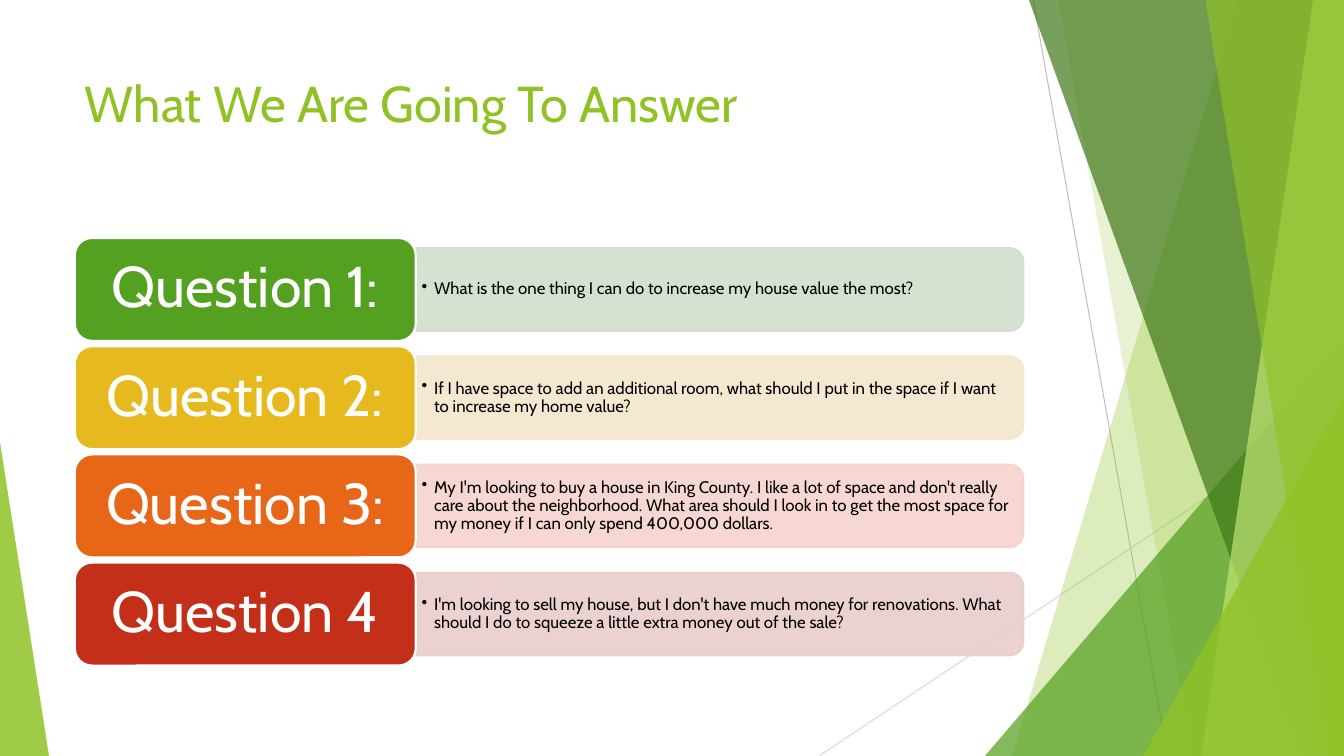
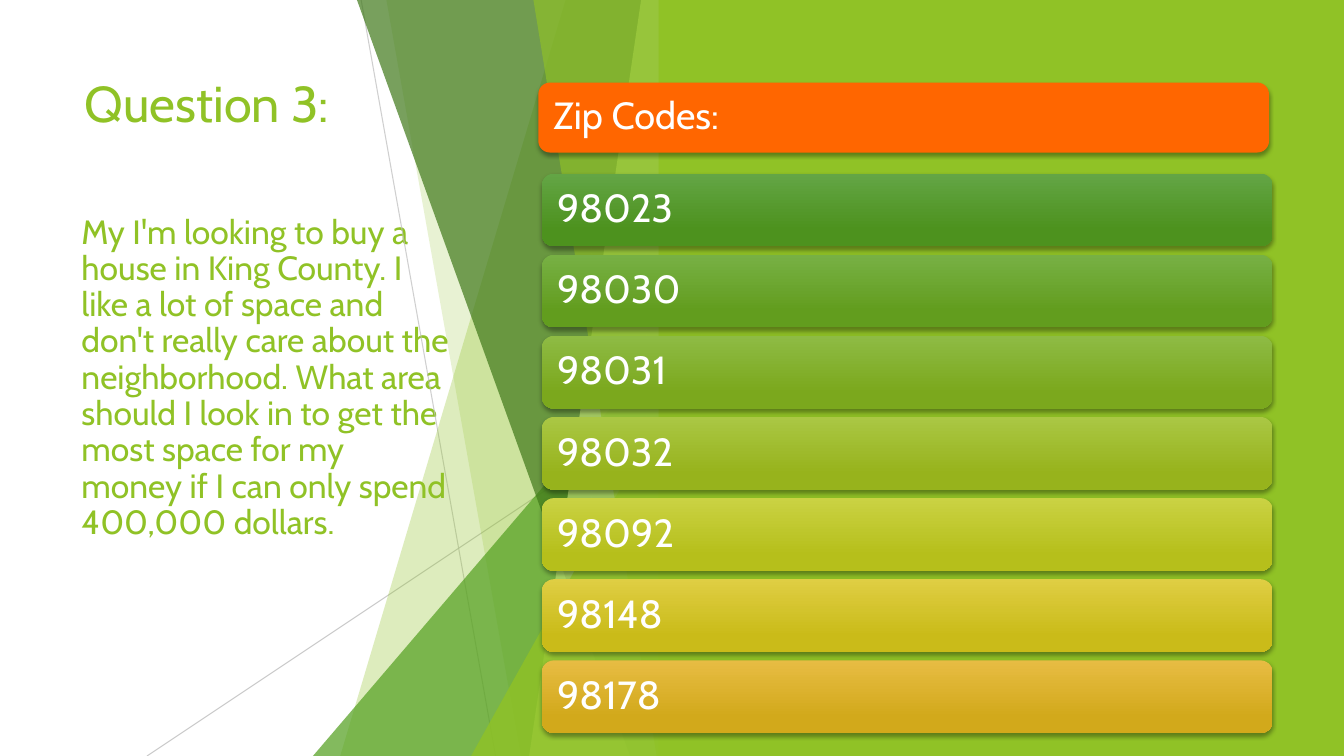
import lxml.etree
import pptx
import pptx.dml.color
import pptx.enum.shapes
import pptx.enum.text
import pptx.oxml.ns
import pptx.util

Pt = pptx.util.Pt
qn = pptx.oxml.ns.qn
KIND = pptx.enum.shapes.MSO_SHAPE
ALIGN = pptx.enum.text.PP_ALIGN
ANCHOR = pptx.enum.text.MSO_ANCHOR

WIDTH, HEIGHT = 960, 540
GREEN, WHITE, BLACK = "90C226", "FFFFFF", "000000"
TITLE_ONLY, TITLE_AND_BODY = 5, 1
FACETS = [
    ("blade", 884, 723, GREEN, 30),
    ("blade", 756, 852, GREEN, 20),
    ("triangle", 703.5, 240, "54A021", 72),
    ("blade", 735, 930, "3F7819", 70),
    ("blade", 938, 858, "C0E474", 70),
    ("blade", 861, 949, GREEN, 65),
    ("triangle", 816.5, 283, GREEN, 80),
]
HOUSE_HUNT = (
    "My I'm looking to buy a house in King County. I like a lot of space and "
    "don't really care about the neighborhood. What area should I look in to "
    "get the most space for my money if I can only spend 400,000 dollars."
)
QUESTIONS = [
    ("Question 1:", "54A021", "D1DFCD",
     "What is the one thing I can do to increase my house value the most?"),
    ("Question 2:", "E6B91E", "F5E6CD",
     "If I have space to add an additional room, what should I put in the "
     "space if I want to increase my home value?"),
    ("Question 3:", "E76618", "F6D3CC", HOUSE_HUNT),
    ("Question 4", "C42F1A", "EACDCD",
     "I'm looking to sell my house, but I don't have much money for "
     "renovations. What should I do to squeeze a little extra money out of "
     "the sale?"),
]
ZIP_CODES = [
    ("98023", "63A545", "4D921E"),
    ("98030", "77B044", "629D1E"),
    ("98031", "8EBB44", "7BA81D"),
    ("98032", "AAC744", "97B31C"),
    ("98092", "CAD243", "B6BF1B"),
    ("98148", "DFCE43", "CABB19"),
    ("98178", "E7BC43", "D2A91B"),
]


def rgb(colour):
    return pptx.dml.color.RGBColor.from_string(colour)


def assign(target, values):
    for name, value in values.items():
        setattr(target, name, value)


def paint(fill, colour, alpha=100):
    fill.solid()
    fill.fore_color.rgb = rgb(colour)
    if alpha < 100:
        clr = fill._xPr.find(".//" + qn("a:srgbClr"))
        lxml.etree.SubElement(clr, qn("a:alpha"), val=str(alpha * 1000))


class Deck:
    font = "Cabin"

    def __init__(self):
        self.prs = pptx.Presentation()
        assign(self.prs, {"slide_width": Pt(WIDTH), "slide_height": Pt(HEIGHT)})
        self.s = None

    def slide(self, layout):
        self.s = self.prs.slides.add_slide(self.prs.slide_layouts[layout])

    def text(self, sp, words, size, colour, align=ALIGN.LEFT, anchor=ANCHOR.MIDDLE,
             spacing=0.9, inset=(7.2, 3.6), bullet=False):
        tf = sp.text_frame
        dx, dy = map(Pt, inset)
        assign(tf, {"word_wrap": True, "auto_size": pptx.enum.text.MSO_AUTO_SIZE.NONE,
                    "vertical_anchor": anchor, "margin_left": dx, "margin_right": dx,
                    "margin_top": dy, "margin_bottom": dy})
        p = tf.paragraphs[0]
        assign(p, {"alignment": align, "line_spacing": spacing,
                   "space_before": Pt(0), "space_after": Pt(0)})
        pPr = p._p.get_or_add_pPr()
        indent = Pt(9) if bullet else 0
        pPr.set("marL", str(indent))
        pPr.set("indent", str(-indent))
        if bullet:
            lxml.etree.SubElement(pPr, qn("a:buChar"), char="•")
        else:
            lxml.etree.SubElement(pPr, qn("a:buNone"))
        r = p.add_run()
        r.text = words
        assign(r.font, {"name": self.font, "size": Pt(size)})
        r.font.color.rgb = rgb(colour)

    def place(self, sp, box):
        assign(sp, dict(zip(("left", "top", "width", "height"), map(Pt, box))))

    def title(self, words):
        sp = self.s.shapes.title
        self.place(sp, (53.5, 48, 677, 108))
        self.text(sp, words, 36, GREEN, anchor=ANCHOR.TOP, spacing=1.0)

    def body(self, words, box):
        sp = self.s.placeholders[1]
        self.place(sp, box)
        self.text(sp, words, 24, GREEN)

    def finish(self, sp, colour, alpha=100, outline=None):
        sp.shadow.inherit = False
        paint(sp.fill, colour, alpha)
        if outline:
            paint(sp.line.fill, outline, alpha)
            sp.line.width = Pt(1.5)
        else:
            sp.line.fill.background()
        return sp

    def shape(self, kind, box, colour, alpha=100, outline=None):
        sp = self.s.shapes.add_shape(kind, *map(Pt, box))
        return self.finish(sp, colour, alpha, outline)

    def triangle(self, box, peak, colour, alpha):
        sp = self.shape(KIND.ISOSCELES_TRIANGLE, box, colour, alpha)
        sp.adjustments[0] = peak

    def blade(self, top_x, bottom_x, right, colour, alpha):
        outline = self.s.shapes.build_freeform(Pt(top_x), 0)
        corners = [(right, 0), (right, HEIGHT), (bottom_x, HEIGHT)]
        outline.add_line_segments([(Pt(x), Pt(y)) for x, y in corners])
        self.finish(outline.convert_to_shape(), colour, alpha)

    def line(self, ends, colour, alpha):
        sp = self.s.shapes.add_connector(
            pptx.enum.shapes.MSO_CONNECTOR.STRAIGHT, *map(Pt, ends))
        sp.line.width = Pt(0.75)
        paint(sp.line.fill, colour, alpha)
        lxml.etree.SubElement(sp._element.spPr, qn("a:effectLst"))

    def facets(self, dx=0, line_alphas=(100, 100)):
        right = WIDTH + dx
        self.line((738 + dx, 0, 834 + dx, HEIGHT), "BFBFBF", line_alphas[0])
        self.line((right, 290, 585 + dx, HEIGHT),
                  "BFBFBF" if dx else "D9D9D9", line_alphas[1])
        for kind, a, b, colour, alpha in FACETS:
            if kind == "blade":
                self.blade(a + dx, b + dx, right, colour, alpha)
            else:
                box = (a + dx, b, WIDTH - a, HEIGHT - b)
                self.triangle(box, 1, colour, alpha)

    def question(self, top, label, colour, tint, words):
        left, width, height = 297.5, 433.5, 59
        middle = top + 36.75
        panel = (left + (width - height) / 2, middle - width / 2, height, width)
        sp = self.shape(KIND.ROUND_2_SAME_RECTANGLE, panel, tint, 90, tint)
        sp.rotation = 90
        sp = self.s.shapes.add_textbox(
            *map(Pt, (left, middle - 26.5, 430.5, 53)))
        self.text(sp, words, 12, BLACK, inset=(3.6, 2.16), bullet=True)
        sp = self.shape(KIND.ROUNDED_RECTANGLE, (53.5, top, 243.5, 73.5),
                        colour, outline=WHITE)
        self.text(sp, label, 41, WHITE, ALIGN.CENTER, inset=(12, 6.5))

    def bar(self, box, words, size, colours):
        sp = self.shape(KIND.ROUNDED_RECTANGLE, box, colours[0])
        if len(colours) == 2:
            sp.fill.gradient()
            sp.fill.gradient_angle = 270
            for stop, colour, position in zip(
                    sp.fill.gradient_stops, colours, (0, 0.78)):
                stop.color.rgb = rgb(colour)
                stop.position = position
        effects = sp._element.spPr.find(qn("a:effectLst"))
        shadow = lxml.etree.SubElement(
            effects, qn("a:outerShdw"), blurRad=str(Pt(3)), dist=str(Pt(2)),
            dir="5400000", rotWithShape="0")
        clr = lxml.etree.SubElement(shadow, qn("a:srgbClr"), val=BLACK)
        lxml.etree.SubElement(clr, qn("a:alpha"), val="35000")
        self.text(sp, words, size, WHITE, inset=(8.4, 8.4))


def main():
    deck = Deck()

    deck.slide(TITLE_ONLY)
    deck.title("What We Are Going To Answer")
    deck.facets()
    deck.triangle((0, 316, 35, 224), 0, GREEN, 85)
    for i, question in enumerate(QUESTIONS):
        deck.question(170 + 77.3 * i, *question)

    deck.slide(TITLE_AND_BODY)
    deck.title("Question 3:")
    deck.body(HOUSE_HUNT, (51, 109, 279.5, 322.5))
    deck.facets(-WIDTH / 2, (75, 80))
    deck.shape(KIND.RECTANGLE, (470.5, 0, 489.5, HEIGHT), GREEN)
    for i, (code, *colours) in enumerate(ZIP_CODES):
        deck.bar((387, 124 + 57.95 * i, 522, 52), code, 28, colours)
    deck.bar((384.5, 59, 522, 50), "Zip Codes:", 27, ["FF6600"])

    deck.prs.save("out.pptx")


if __name__ == "__main__":
    main()
